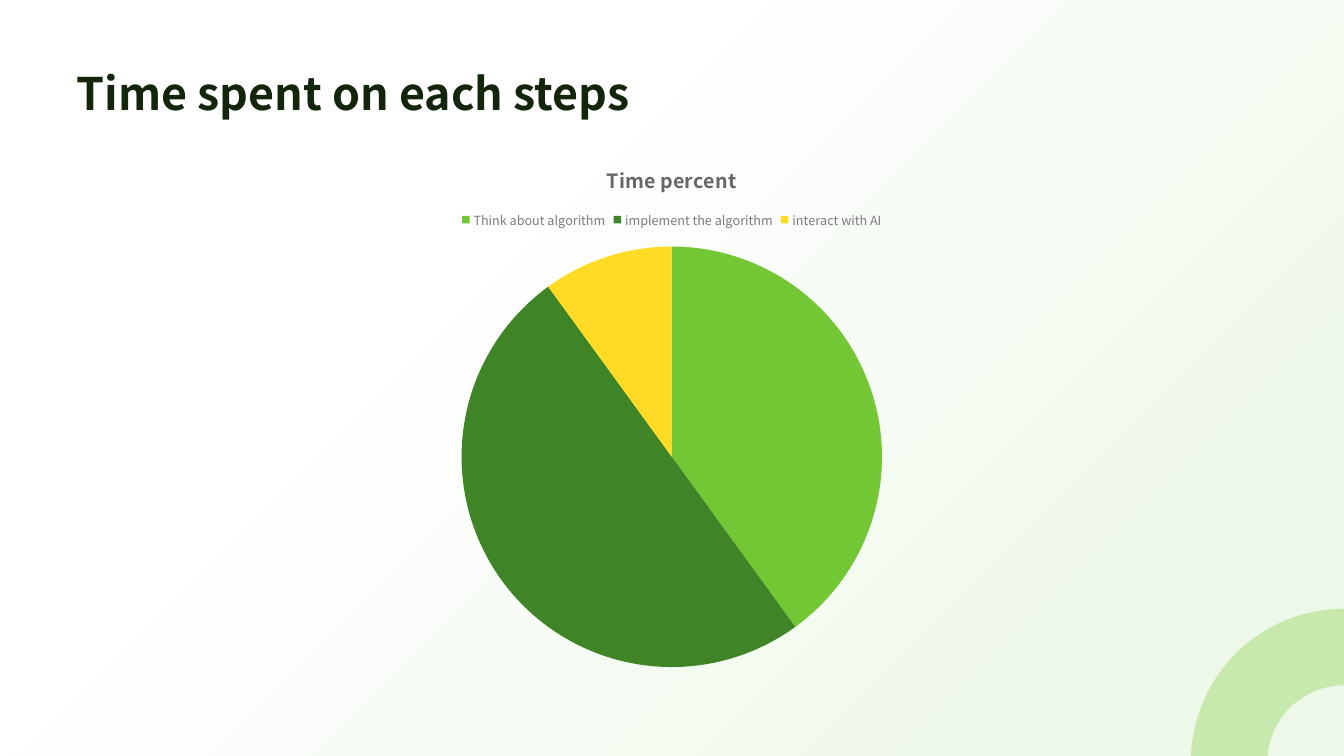
from math import asin, degrees

from lxml import etree
from pptx import Presentation
from pptx.chart.data import CategoryChartData
from pptx.dml.color import RGBColor
from pptx.enum.chart import XL_CHART_TYPE, XL_LEGEND_POSITION
from pptx.enum.shapes import MSO_SHAPE
from pptx.enum.text import MSO_ANCHOR
from pptx.oxml.ns import qn
from pptx.util import Cm, Pt

PIE = XL_CHART_TYPE.PIE
TOP = XL_LEGEND_POSITION.TOP
RECT = MSO_SHAPE.RECTANGLE
BOTTOM = MSO_ANCHOR.BOTTOM

WIDE, HIGH = 33.87, 19.05
FONT = "Noto Sans CJK SC"
COLORS = {
    "white": "FFFFFF", "mist": "EDF8E8", "ring": "C7E9AD",
    "title": "13250B", "text": "333333", "head": "666666", "legend": "7A7A7A",
    "think": "73C634", "code": "408428", "chat": "FFDB25",
}
SHARES = [
    ("Think about algorithm", 40, "think"),
    ("implement the algorithm", 50, "code"),
    ("interact with AI", 10, "chat"),
]


def color(name):
    return RGBColor.from_string(COLORS[name])


def bend(line, radius, start, sweep):
    """Turn a straight outline segment into an arc, angles in degrees."""
    arc = etree.Element(qn("a:arcTo"))
    for key in ("wR", "hR"):
        arc.set(key, str(Cm(radius)))
    arc.set("stAng", str(round(start * 60000)))
    arc.set("swAng", str(round(sweep * 60000)))
    line.getparent().replace(line, arc)


class Deck:
    """Holds the presentation, its style and the current slide."""

    def __init__(self):
        self.prs = Presentation()
        self.prs.slide_width, self.prs.slide_height = Cm(WIDE), Cm(HIGH)
        self.slide = self.prs.slides.add_slide(self.prs.slide_layouts[6])
        self.shapes = self.slide.shapes

    def style(self, font, size, name, bold=False):
        font.name, font.size, font.bold = FONT, Pt(size), bold
        font.color.rgb = color(name)

    def paint(self, fill, name):
        fill.solid()
        fill.fore_color.rgb = color(name)

    def back(self, name, stops):
        """Lay a diagonal gradient over a plain background."""
        self.paint(self.slide.background.fill, name)
        sheet = self.shapes.add_shape(RECT, 0, 0, Cm(WIDE), Cm(HIGH))
        sheet.shadow.inherit = False
        sheet.line.fill.background()
        sheet.fill.gradient()
        sheet.fill.gradient_angle = 315
        for stop, (place, tint) in zip(sheet.fill.gradient_stops, stops):
            stop.position = place
            stop.color.rgb = color(tint)

    def ring(self, x, y, outer, inner, name):
        """Draw the upper left part of a ring, cut at the slide's foot."""
        drop = y - HIGH

        def foot(radius):
            return x - (radius ** 2 - drop ** 2) ** 0.5, HIGH

        def slant(radius):
            return 180 + degrees(asin(drop / radius))

        corners = [(x, y - outer), foot(outer), foot(inner), (x, y - inner)]
        points = [(Cm(a), Cm(b)) for a, b in corners]
        form = self.shapes.build_freeform(*points[0])
        form.add_line_segments(points[1:])
        shape = form.convert_to_shape()
        shape.shadow.inherit = False
        self.paint(shape.fill, name)
        shape.line.fill.background()
        lines = list(shape.element.iter(qn("a:lnTo")))
        bend(lines[0], outer, 270, slant(outer) - 270)
        bend(lines[2], inner, slant(inner), 270 - slant(inner))

    def title(self, words, x, y, w, h):
        frame = self.shapes.add_textbox(Cm(x), Cm(y), Cm(w), Cm(h)).text_frame
        frame.margin_left = frame.margin_right = 0
        frame.margin_top = frame.margin_bottom = 0
        frame.word_wrap, frame.vertical_anchor = True, BOTTOM
        frame.text = words
        self.style(frame.paragraphs[0].runs[0].font, 32, "title", True)

    def pie(self, words, shares, x, y, w, h):
        labels, values, fills = zip(*shares)
        data = CategoryChartData()
        data.categories = labels
        data.add_series(words, values)
        chart = self.shapes.add_chart(PIE, Cm(x), Cm(y), Cm(w), Cm(h), data).chart
        self.style(chart.font, 10, "text")
        chart.has_title = True
        head = chart.chart_title
        head.include_in_layout = False
        head.text_frame.text = words
        self.style(head.text_frame.paragraphs[0].runs[0].font, 14, "head", True)
        chart.has_legend = True
        chart.legend.position = TOP
        chart.legend.include_in_layout = False
        self.style(chart.legend.font, 9, "legend")
        plot = chart.plots[0]
        plot.vary_by_categories = True
        for i, name in enumerate(fills):
            part = plot.series[0].points[i].format
            self.paint(part.fill, name)
            part.line.fill.background()


def main():
    deck = Deck()
    deck.back("mist", [(0.32, "white"), (0.88, "mist")])
    deck.ring(WIDE, 19.2, 3.86, 1.93, "ring")
    deck.title("Time spent on each steps", 1.93, 1, 30, 2)
    deck.pie("Time percent", SHARES, 1.93, 3.61, 30, 13.55)
    deck.prs.save("out.pptx")


if __name__ == "__main__":
    main()
